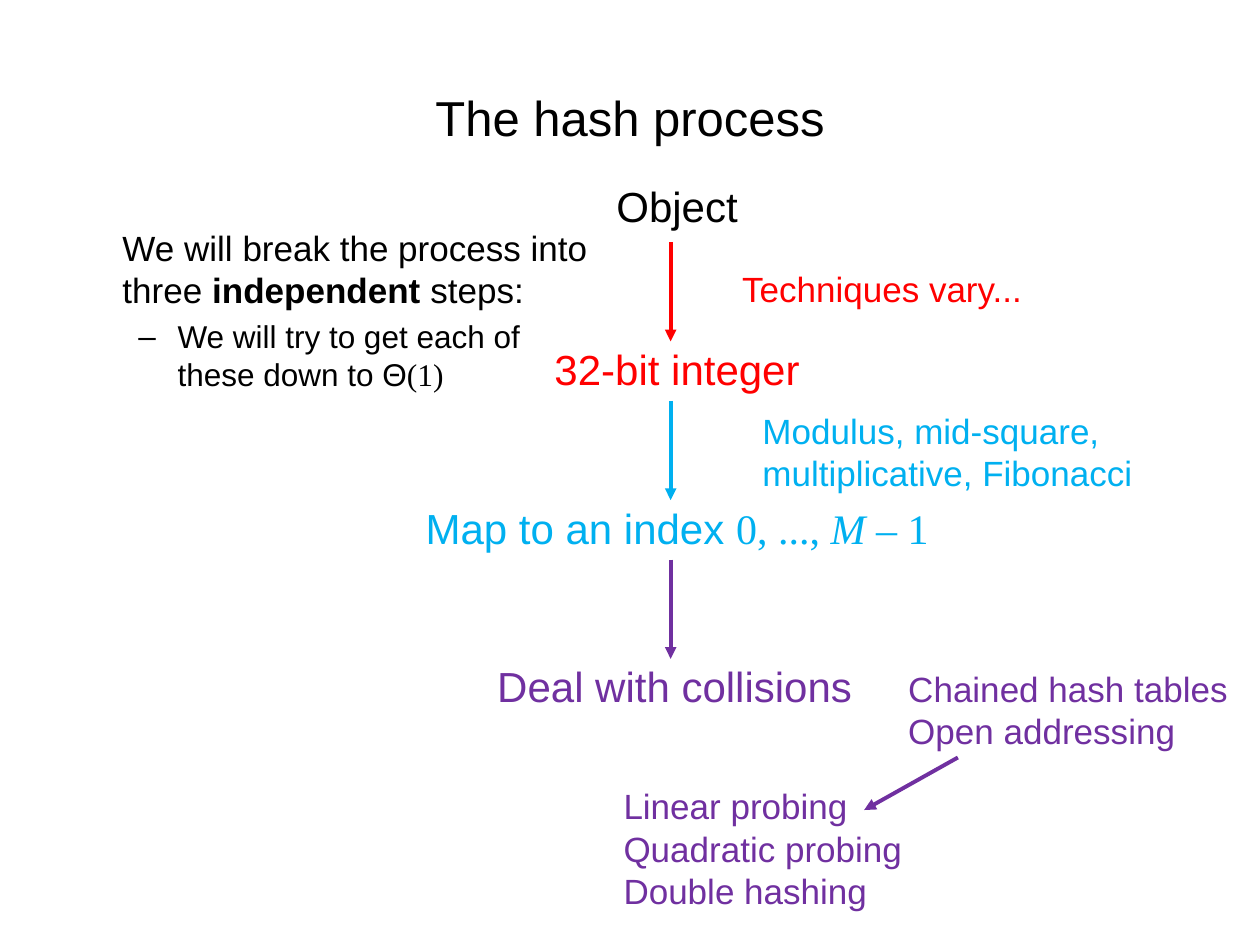
import pptx
import pptx.dml.color
import pptx.enum.shapes
import pptx.enum.text
import pptx.oxml
import pptx.oxml.ns
import pptx.util
from pptx.util import Cm

ALIGN = pptx.enum.text.PP_ALIGN
ANCHOR = pptx.enum.text.MSO_ANCHOR
BLACK, RED, BLUE, PURPLE = "000000", "FF0000", "00B0F0", "7030A0"
SERIF = "Times New Roman"


def rgb(value):
    """Turn a hex string into a colour."""
    return pptx.dml.color.RGBColor.from_string(value)


def sub(parent, tag, **attrs):
    """Append a DrawingML element to a parent."""
    el = pptx.oxml.parse_xml(f"<{tag} {pptx.oxml.ns.nsdecls('a')}/>")
    for key, value in attrs.items():
        el.set(key, value)
    parent.append(el)


def add_runs(p, runs, size, color):
    """Fill a paragraph with (text, font, bold, italic) runs."""
    for text, font, bold, italic in runs:
        for i, line in enumerate(text.split("\n")):
            if i:
                p.add_line_break()
            r = p.add_run()
            r.text = line
            r.font.name, r.font.size = font, pptx.util.Pt(size)
            r.font.bold, r.font.italic = bold, italic
            r.font.color.rgb = rgb(color)


def plain(text, font="Arial", bold=False, italic=False):
    """Describe one run."""
    return text, font, bold, italic


def add_text(s, box, paragraphs, size, color, align=ALIGN.LEFT, wrap=True):
    """Add a text box whose paragraphs are lists of runs."""
    sp = s.shapes.add_textbox(*(Cm(v) for v in box))
    tf = sp.text_frame
    tf.word_wrap = wrap
    if not wrap:
        tf.auto_size = pptx.enum.text.MSO_AUTO_SIZE.SHAPE_TO_FIT_TEXT
    for i, runs in enumerate(paragraphs):
        p = tf.paragraphs[0] if i == 0 else tf.add_paragraph()
        p.alignment = align
        add_runs(p, runs, size, color)
    return sp


def add_arrow(s, x1, y1, x2, y2, color):
    """Draw a straight arrow."""
    line = s.shapes.add_connector(
        pptx.enum.shapes.MSO_CONNECTOR.STRAIGHT, Cm(x1), Cm(y1), Cm(x2), Cm(y2)
    )
    line.line.color.rgb = rgb(color)
    line.line.width = pptx.util.Pt(2.25)
    sub(line.line._get_or_add_ln(), "a:tailEnd", type="triangle")
    sub(line._element.spPr, "a:effectLst")


def add_title(s, box):
    """Place the centred title."""
    sp = add_text(s, box, [[plain("The hash process")]], 28, BLACK, ALIGN.CENTER)
    sp.text_frame.vertical_anchor = ANCHOR.MIDDLE


def add_body(s, box):
    """Place the introduction and its dashed point."""
    intro = [
        plain("We will break the process into\nthree "),
        plain("independent ", bold=True),
        plain("steps:"),
    ]
    tf = add_text(s, box, [intro], 20, BLACK).text_frame
    tf.paragraphs[0]._p.get_or_add_pPr().set("marL", str(Cm(0.95)))
    p = tf.add_paragraph()
    p.level = 1
    p.space_before = pptx.util.Pt(3.6)
    pPr = p._p.get_or_add_pPr()
    pPr.set("marL", str(Cm(2.06)))
    pPr.set("indent", str(-Cm(0.79)))
    sub(pPr, "a:buFont", typeface="Arial")
    sub(pPr, "a:buChar", char="–")
    point = [plain("We will try to get each of\nthese down to Θ"), plain("(1)", SERIF)]
    add_runs(p, point, 18, BLACK)


def add_flow(s, box):
    """Stack the steps around the box's centre, with arrows between them."""
    left, top, width, height = box
    index = [
        plain("Map to an index "),
        plain("0, ..., ", SERIF),
        plain("M", SERIF, italic=True),
        plain(" – 1", SERIF),
    ]
    steps = [
        ([plain("Object")], 2.95, 0, -0.08, BLACK),
        ([plain("32-bit integer")], 5.46, 0, 0, RED),
        (index, 11.1, 0, 0, BLUE),
        ([plain("Deal with collisions")], 7.67, -0.05, 0, PURPLE),
    ]
    step_height = 1.27
    pitch = (height - step_height) / (len(steps) - 1)
    center = left + width / 2
    arrow_x = center - 0.13
    for i, (runs, w, dx, dy, color) in enumerate(steps):
        y = top + i * pitch
        step_box = (center - w / 2 + dx, y + dy, w, step_height)
        add_text(s, step_box, [runs], 24, color, ALIGN.CENTER, False)
        if i:
            end = y + 0.08
            add_arrow(s, arrow_x, end - 2, arrow_x, end, color)


def add_notes(s, box):
    """Place the remarks beside the steps, relative to the box's corner."""
    left, top, width, height = box
    notes = [
        (0, 0, 6.4, 1.09, RED, ["Techniques vary..."]),
        (0.41, 2.87, 8.2, 1.96, BLUE, ["Modulus, mid-square,\nmultiplicative, Fibonacci"]),
        (3.35, 8.08, 7.2, 1.96, PURPLE, ["Chained hash tables", "Open addressing"]),
        (-2.39, 10.44, 6.4, 2.82, PURPLE,
         ["Linear probing", "Quadratic probing", "Double hashing"]),
    ]
    for dx, dy, w, h, color, lines in notes:
        add_text(s, (left + dx, top + dy, w, h), [[plain(t)] for t in lines], 20, color)
    add_arrow(s, left + 4.6, top + 10.01, left + 2.71, top + 11.07, PURPLE)


def main():
    """Build and save the slide."""
    prs = pptx.Presentation()
    prs.slide_width, prs.slide_height = Cm(25.4), Cm(19.05)
    s = prs.slides.add_slide(prs.slide_layouts[6])
    add_title(s, (1.27, 0.76, 22.86, 3.18))
    add_body(s, (1.27, 4.45, 22.86, 12.57))
    add_flow(s, (8.1, 3.6, 11.1, 10.87))
    add_notes(s, (14.71, 5.26, 10.55, 13.26))
    prs.save("out.pptx")


if __name__ == "__main__":
    main()
